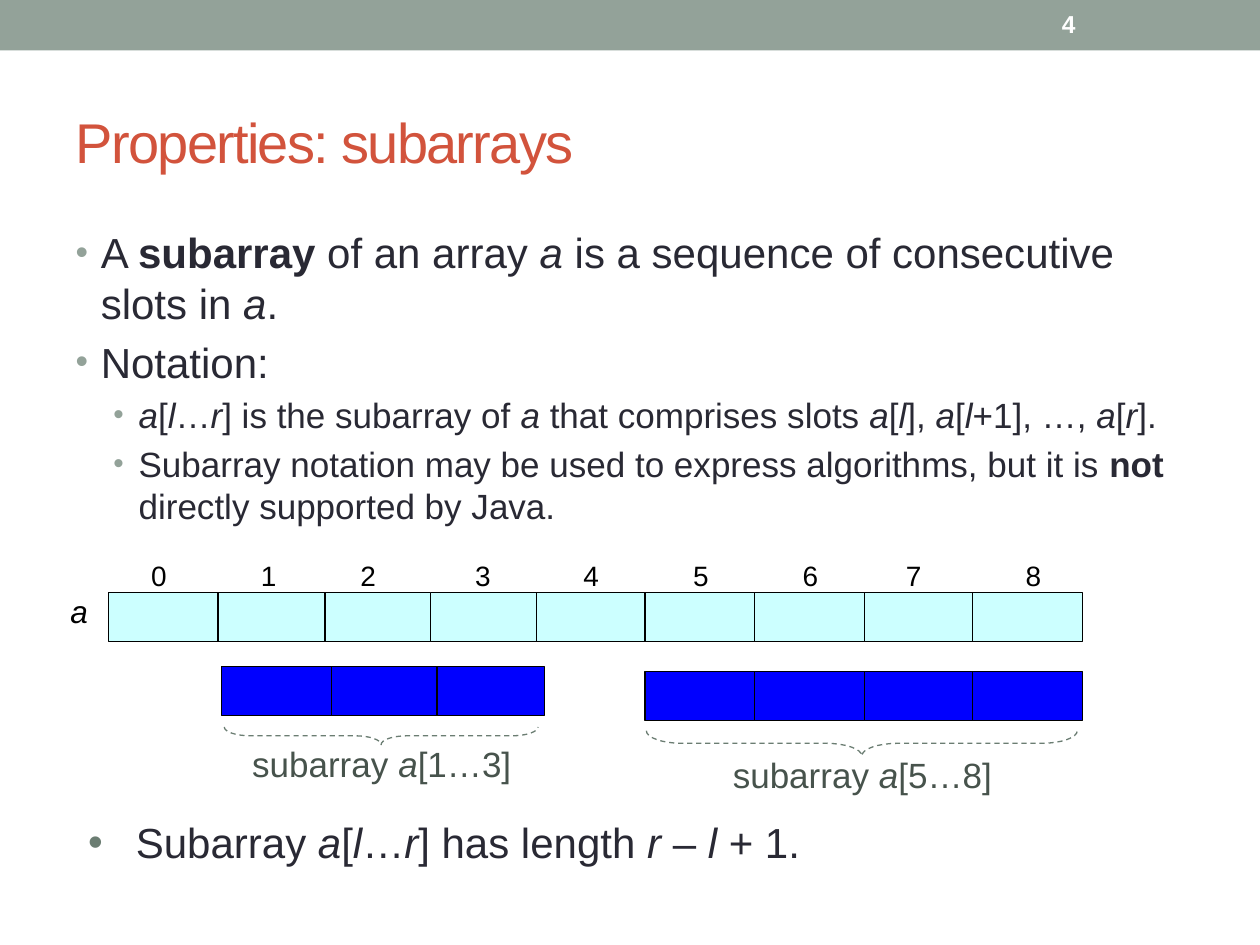
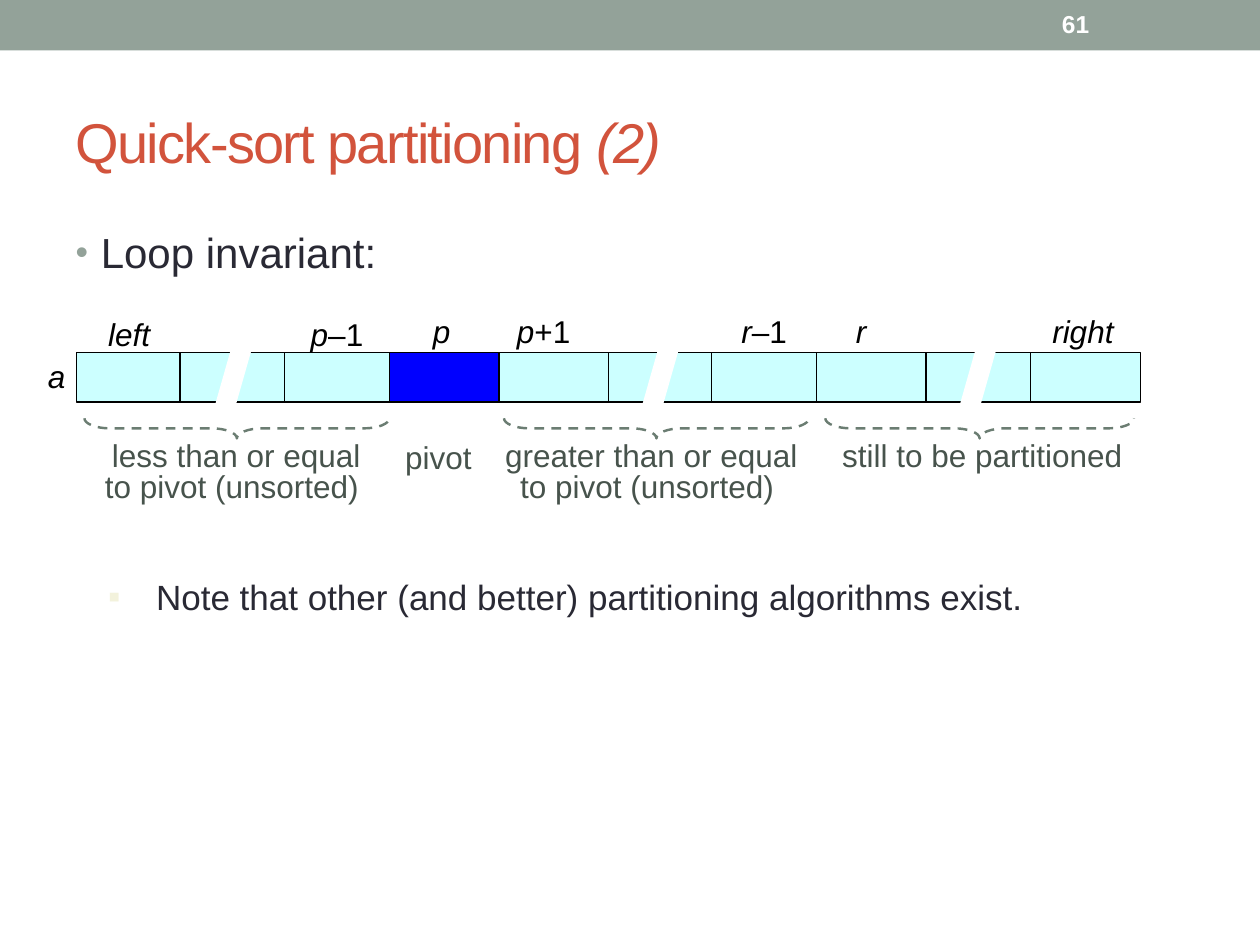
"""Build two lecture slides on subarrays and quick-sort partitioning."""
from dataclasses import dataclass
from math import cos, pi, sin

from lxml.etree import SubElement
from pptx import Presentation
from pptx.dml.color import RGBColor
from pptx.enum.dml import MSO_LINE
from pptx.enum.shapes import MSO_SHAPE as Kind
from pptx.enum.text import MSO_ANCHOR as Anchor, MSO_AUTO_SIZE as Auto, PP_ALIGN as Align
from pptx.oxml.ns import qn
from pptx.util import Inches, Pt


@dataclass(frozen=True)
class Theme:
    font: str = "Arial"
    band: str = "93A299"
    title: str = "D2533C"
    ink: str = "292934"
    note: str = "47534C"
    rule: str = "6B7D72"
    pale: str = "F3F2DC"
    cell: str = "CCFFFF"
    mark: str = "0000FF"
    black: str = "000000"
    white: str = "FFFFFF"
    head: int = 32
    big: int = 24
    mid: int = 20
    small: int = 18
    index: int = 16
    page: int = 14


T = Theme()
CELL_W, CELL_H = 0.87, 0.39

# *...* is italic, ^...^ is bold
SUB = {
    "page": "4",
    "title": "Properties: subarrays",
    "body": [
        (0, "A ^subarray^ of an array *a* is a sequence of consecutive slots in *a*."),
        (0, "Notation:"),
        (1, "*a*[*l*…*r*] is the subarray of *a* that comprises slots "
            "*a*[*l*], *a*[*l*+1], …, *a*[*r*]."),
        (1, "Subarray notation may be used to express algorithms, but it is "
            "^not^ directly supported by Java."),
    ],
    "name": (0.56, 4.7),
    "rows": [
        (4.7, T.cell, [3.4, 4.26, 5.12, 5.99, 6.86, 7.72, 2.55, 1.71, 0.86]),
        (5.29, T.mark, [3.45, 2.6, 1.76]),
        (5.33, T.mark, [5.12, 5.99, 6.86, 7.72]),
    ],
    "labels": [(str(i), x, 4.43, 0.12, T.index) for i, x in enumerate(
        [1.2, 2.07, 2.86, 3.77, 4.63, 5.5, 6.37, 7.19, 8.14])],
    "cuts": [],
    "braces": [(1.78, 5.77, 2.49, 0.14), (5.13, 5.8, 3.42, 0.2)],
    "stroke": 0.75,
    "notes": [("subarray *a*[1…3]", 1.78, 5.89, 2.5, T.mid),
              ("subarray *a*[5…8]", 5.18, 5.98, 3.33, T.mid)],
    "end": ("Subarray *a*[*l*…*r*] has length *r* – *l* + 1.",
            0.6, 6.43, 0.49, T.big, "•", T.rule),
}
PART = {
    "page": "61",
    "title": "Quick-sort partitioning *(2)*",
    "body": [(0, "Loop invariant:")],
    "name": (0.38, 2.83),
    "rows": [
        (2.8, T.cell, [0.61, 1.43, 2.26]),
        (2.8, T.mark, [3.09]),
        (2.8, T.cell, [4.82, 5.65, 3.96, 7.34, 8.18, 6.48]),
    ],
    "labels": [(text, x, y, 0.83, T.small) for text, x, y in [
        ("*left*", 0.61, 2.5), ("*p*–1", 2.26, 2.5), ("*p*", 3.09, 2.48),
        ("*p*+1", 3.9, 2.48), ("*r*–1", 5.65, 2.48), ("*r*", 6.42, 2.48),
        ("*right*", 8.18, 2.48)]],
    "cuts": [1.68, 5.07, 7.59],
    "braces": [(0.67, 3.32, 2.42, 0.16), (4, 3.32, 2.42, 0.16), (6.55, 3.32, 2.45, 0.16)],
    "stroke": 1.38,
    "notes": [("less than or equal to pivot (unsorted) ", 0.75, 3.51, 2.25, T.small),
              ("greater than or equal to pivot (unsorted) ", 4, 3.51, 2.34, T.small),
              ("still to be partitioned ", 6.67, 3.51, 2.25, T.small),
              ("pivot", 3.18, 3.53, 0.6, T.small)],
    "end": ("Note that other (and better) partitioning algorithms exist.",
            0.76, 4.52, 2.61, T.mid, "▪", T.pale),
}


def rgb(code):
    return RGBColor.from_string(code)


def box(x, y, w, h):
    return [Inches(v) for v in (x, y, w, h)]


def write(par, text, size, color, bold=False):
    """Add runs, reading the italic and bold marks."""
    for i, part in enumerate(text.split("*")):
        for j, bit in enumerate(part.split("^")):
            if not bit:
                continue
            run = par.add_run()
            run.text = bit
            run.font.color.rgb = rgb(color)
            look = {"name": T.font, "size": Pt(size), "italic": i % 2 == 1,
                    "bold": bold or j % 2 == 1}
            for key, val in look.items():
                setattr(run.font, key, val)


def bullet(par, left, hang, char, color, scale):
    """Give a paragraph a hanging bullet."""
    prop = par._p.get_or_add_pPr()
    prop.set("marL", str(Inches(left)))
    prop.set("indent", str(-Inches(hang)))
    tint = SubElement(prop, qn("a:buClr"))
    SubElement(tint, qn("a:srgbClr"), val=color)
    SubElement(prop, qn("a:buSzPct"), val=str(scale * 1000))
    SubElement(prop, qn("a:buFont"), typeface=T.font)
    SubElement(prop, qn("a:buChar"), char=char)


def label(slide, text, x, y, w, h, size, color, align=Align.LEFT, pad=0, bold=False):
    """Add a text box and return its paragraph."""
    frame = slide.shapes.add_textbox(*box(x, y, w, h)).text_frame
    frame.word_wrap = True
    for side in ("left", "right"):
        setattr(frame, f"margin_{side}", Inches(pad))
    for side in ("top", "bottom"):
        setattr(frame, f"margin_{side}", Inches(pad / 2))
    par = frame.paragraphs[0]
    par.alignment = align
    write(par, text, size, color, bold)
    return par


def block(slide, x, y, w, h, fill, line=None):
    """Add a filled rectangle."""
    shape = slide.shapes.add_shape(Kind.RECTANGLE, *box(x, y, w, h))
    shape.shadow.inherit = False
    shape.fill.solid()
    shape.fill.fore_color.rgb = rgb(fill)
    if line:
        shape.line.color.rgb = rgb(line)
        shape.line.width = Pt(0.75)
    else:
        shape.line.fill.background()


def trace(slide, points, close):
    """Add an outline through points given in inches."""
    first, *rest = [(Inches(x), Inches(y)) for x, y in points]
    pen = slide.shapes.build_freeform(*first)
    pen.add_line_segments(rest, close=close)
    shape = pen.convert_to_shape()
    shape.shadow.inherit = False
    return shape


def brace(slide, x, y, w, h, stroke):
    """Add a dashed brace that points down."""
    bend, half, mid = w / 12, h / 2, x + w / 2
    turns = [k * pi / 16 for k in range(9)]
    left = [(x + bend * (1 - cos(t)), y + half * sin(t)) for t in turns]
    left += [(mid - bend * (1 - sin(t)), y + half * (2 - cos(t))) for t in turns]
    right = [(2 * mid - px, py) for px, py in reversed(left[:-1])]
    shape = trace(slide, left + right, False)
    shape.fill.background()
    shape.line.color.rgb = rgb(T.rule)
    shape.line.width = Pt(stroke)
    shape.line.dash_style = MSO_LINE.DASH


def cut(slide, x, y=2.73, w=0.33, h=0.58):
    """Add a white slash that breaks a cell."""
    mid = x + w / 2
    shape = trace(slide, [(mid, y), (x + w, y), (mid, y + h), (x, y + h)], True)
    shape.fill.solid()
    shape.fill.fore_color.rgb = rgb(T.white)
    shape.line.fill.background()


def place(shape, spot, anchor):
    """Move a placeholder and return its text frame."""
    for key, val in zip(("left", "top", "width", "height"), box(*spot)):
        setattr(shape, key, val)
    frame = shape.text_frame
    frame.auto_size = Auto.NONE
    frame.vertical_anchor = anchor
    return frame


def frame_up(deck, data):
    """Start a slide with its band, page number, title and list."""
    slide = deck.slides.add_slide(deck.slide_layouts[1])
    block(slide, 0, 0, 10, 0.4, T.band)
    page = label(slide, data["page"], 8.33, 0.02, 1.17, 0.36, T.page, T.white,
                 pad=0.1, bold=True)
    page.alignment = Align.LEFT
    head = place(slide.shapes.title, (0.5, 0.58, 9, 1.08), Anchor.MIDDLE).paragraphs[0]
    head.alignment = Align.LEFT
    write(head, data["title"], T.head, T.title)
    for run in head.runs:
        run.font._element.set("spc", "-100")
    body = place(slide.placeholders[1], (0.5, 1.75, 9, 5.33), Anchor.TOP)
    for i, (level, text) in enumerate(data["body"]):
        par = body.add_paragraph() if i else body.paragraphs[0]
        par.level = level
        write(par, text, T.mid if level else T.big, T.ink)
        bullet(par, 0.2 + 0.3 * level, 0.2, "•", T.band, 85)
    return slide


def build(deck, data):
    """Draw one slide with its array figure."""
    slide = frame_up(deck, data)
    for top, fill, lefts in data["rows"]:
        for left in lefts:
            block(slide, left, top, CELL_W, CELL_H, fill, T.black)
    for left in data["cuts"]:
        cut(slide, left)
    label(slide, "*a*", *data["name"], 0.14, 0.3, T.small, T.black)
    for text, x, y, w, size in data["labels"]:
        label(slide, text, x, y, w, 0.3, size, T.black, Align.CENTER)
    for spot in data["braces"]:
        brace(slide, *spot, data["stroke"])
    for text, x, y, w, size in data["notes"]:
        par = label(slide, text, x, y, w, 0.33, size, T.note, Align.CENTER)
        if size == T.small:
            par.line_spacing = Pt(18)
    text, x, y, h, size, char, color = data["end"]
    par = label(slide, text, x, y, 7.88, h, size, T.ink, pad=0.1)
    bullet(par, 0.38, 0.38, char, color, 100)


def main():
    deck = Presentation()
    deck.slide_width, deck.slide_height = Inches(10), Inches(7.5)
    for data in (SUB, PART):
        build(deck, data)
    deck.save("out.pptx")


if __name__ == "__main__":
    main()
